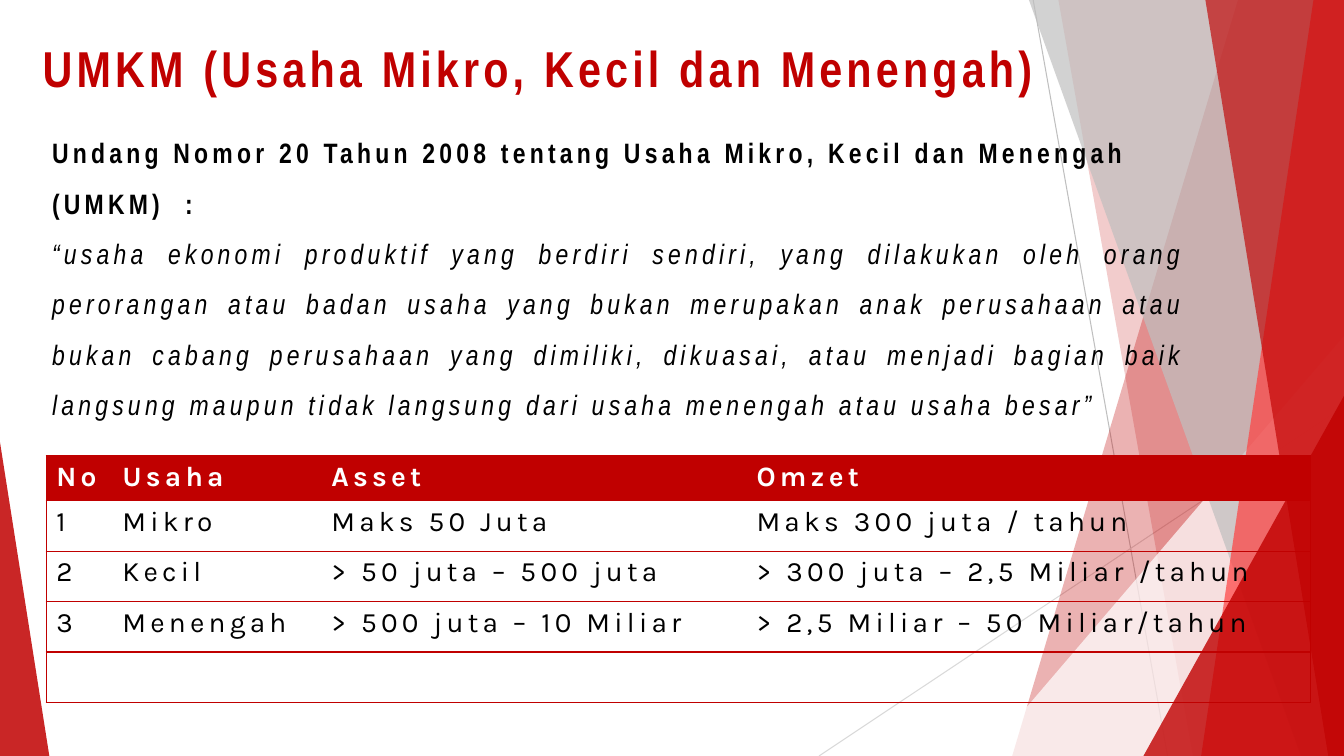
from lxml.etree import SubElement
from pptx import Presentation
from pptx.dml.color import RGBColor
from pptx.enum.shapes import MSO_CONNECTOR, MSO_SHAPE
from pptx.enum.text import MSO_ANCHOR, MSO_AUTO_SIZE, PP_ALIGN
from pptx.oxml import parse_xml
from pptx.oxml.ns import nsdecls, qn
from pptx.util import Pt

PX = 9525
WIDTH, HEIGHT = 1280, 720
RED = RGBColor(0xC0, 0x00, 0x00)
BRIGHT_RED = RGBColor(0xFF, 0x40, 0x40)
WHITE = RGBColor(0xFF, 0xFF, 0xFF)
BLACK = RGBColor(0x00, 0x00, 0x00)
GRAY = RGBColor(0xBF, 0xBF, 0xBF)
LIGHT_GRAY = RGBColor(0xD9, 0xD9, 0xD9)

TITLE_FORMAT = {"name": "Arial Narrow", "size": Pt(36), "bold": True}
LAW_FORMAT = {"name": "Arial Narrow", "size": Pt(20), "bold": True}
QUOTE_FORMAT = {"name": "Arial Narrow", "size": Pt(20), "bold": False, "italic": True}
HEADER_FORMAT = {"name": "Karla", "size": Pt(20), "bold": True}
ROW_FORMAT = {"name": "Karla", "size": Pt(20), "bold": False}
FRAME_FORMAT = {"word_wrap": True, "auto_size": MSO_AUTO_SIZE.NONE,
                "vertical_anchor": MSO_ANCHOR.BOTTOM}

TITLE = "UMKM (Usaha Mikro, Kecil dan Menengah)"
LAW = "Undang Nomor 20 Tahun 2008 tentang Usaha Mikro, Kecil dan Menengah (UMKM)  :"
QUOTE = ("“usaha ekonomi produktif yang berdiri sendiri, yang dilakukan oleh orang "
         "perorangan atau badan usaha yang bukan merupakan anak perusahaan atau bukan "
         "cabang perusahaan yang dimiliki, dikuasai, atau menjadi bagian baik langsung "
         "maupun tidak langsung dari usaha menengah atau usaha besar”")
CRITERIA = [
    ("No", "Usaha", "Asset", "Omzet"),
    ("1", "Mikro", "Maks 50 Juta", "Maks 300 juta / tahun"),
    ("2", "Kecil", "> 50 juta – 500 juta", "> 300 juta – 2,5 Miliar /tahun"),
    ("3", "Menengah", "> 500 juta – 10 Miliar", "> 2,5 Miliar – 50 Miliar/tahun"),
    ("", "", "", ""),
]


def to_emu(lengths):
    """Turn px lengths into EMU."""
    return [length * PX for length in lengths]


def apply_format(target, values):
    """Set every attribute named in a dict of format values."""
    for name, value in values.items():
        setattr(target, name, value)


def add_text(paragraph, text, font_format, color):
    """Add one letter-spaced run to a paragraph."""
    run = paragraph.add_run()
    run.text = text
    apply_format(run.font, font_format)
    run.font.color.rgb = color
    run._r.get_or_add_rPr().set("spc", "300")


def paint(shape, color, opacity):
    """Give a shape a translucent fill without outline or shadow."""
    shape.shadow.inherit = False
    shape.fill.solid()
    shape.fill.fore_color.rgb = color
    shape.line.fill.background()
    color_element = shape.element.spPr.find(".//" + qn("a:srgbClr"))
    SubElement(color_element, qn("a:alpha")).set("val", str(opacity * 1000))


def add_thin_line(slide, ends, color):
    """Draw a thin straight line between two points."""
    line = slide.shapes.add_connector(MSO_CONNECTOR.STRAIGHT, *to_emu(ends))
    line.line.color.rgb = color
    line.line.width = Pt(0.75)
    SubElement(line.element.spPr, qn("a:effectLst"))


def add_band(slide, box, top_x, bottom_x, color, opacity):
    """Draw a slanted band that reaches the right side of its box."""
    left, top, width, height = box
    right, bottom = left + width, top + height
    builder = slide.shapes.build_freeform(left + top_x, top, scale=PX)
    builder.add_line_segments([(right, top), (right, bottom), (left + bottom_x, bottom)])
    paint(builder.convert_to_shape(), color, opacity)


def add_triangle(slide, box, apex, color, opacity):
    """Draw a triangle with its apex at a fraction of its width."""
    triangle = slide.shapes.add_shape(MSO_SHAPE.ISOSCELES_TRIANGLE, *to_emu(box))
    triangle.adjustments[0] = apex
    paint(triangle, color, opacity)


def add_facets(slide, box):
    """Draw the red and gray facets along the sides of the slide."""
    left, top, width, height = box
    right, bottom = left + width, top + height
    add_thin_line(slide, (left + 984, top, left + 1112, bottom), GRAY)
    add_thin_line(slide, (right, top + 387, left + 780, bottom), LIGHT_GRAY)
    add_band(slide, box, 1179, 964, RED, 30)
    add_band(slide, box, 1008, 1136, RED, 20)
    add_triangle(slide, (right - 342, bottom - 400, 342, 400), 1, WHITE, 72)
    add_band(slide, box, 980, 1239, GRAY, 70)
    add_band(slide, box, 1251, 1144, BRIGHT_RED, 70)
    add_band(slide, box, 1148, 1265, RED, 65)
    add_triangle(slide, (right - 191, bottom - 343, 191, 343), 1, RED, 80)
    add_triangle(slide, (left, bottom - 299, 47, 299), 0, RED, 85)


def place_placeholder(placeholder, box):
    """Bring a placeholder to the front, in its box, and return its text frame."""
    placeholder.element.getparent().append(placeholder.element)
    apply_format(placeholder, dict(zip(("left", "top", "width", "height"), to_emu(box))))
    apply_format(placeholder.text_frame, FRAME_FORMAT)
    return placeholder.text_frame


def fill_title(slide, box):
    """Write the slide title."""
    paragraph = place_placeholder(slide.shapes.title, box).paragraphs[0]
    paragraph.alignment = PP_ALIGN.LEFT
    add_text(paragraph, TITLE, TITLE_FORMAT, RED)


def fill_definition(slide, box):
    """Write the law's name and its definition."""
    frame = place_placeholder(slide.placeholders[1], box)
    parts = [(frame.paragraphs[0], LAW, LAW_FORMAT, PP_ALIGN.LEFT),
             (frame.add_paragraph(), QUOTE, QUOTE_FORMAT, PP_ALIGN.JUSTIFY)]
    for paragraph, text, font_format, alignment in parts:
        apply_format(paragraph, {"alignment": alignment, "line_spacing": 1.5,
                                 "space_before": Pt(0)})
        properties = paragraph._p.get_or_add_pPr()
        properties.set("marL", "0")
        properties.set("indent", "0")
        SubElement(properties, qn("a:buNone"))
        add_text(paragraph, text, font_format, BLACK)


def set_borders(cell, visible):
    """Draw the cell's visible sides in red and hide the others."""
    for index, side in enumerate("LRTB"):
        fill = f'<a:solidFill><a:srgbClr val="{RED}"/></a:solidFill>'
        if side not in visible:
            fill = "<a:noFill/>"
        border = parse_xml(f'<a:ln{side} {nsdecls("a")} w="12700">{fill}</a:ln{side}>')
        cell._tc.get_or_add_tcPr().insert(index, border)


def add_criteria_table(slide, box):
    """Add the table of asset and turnover limits."""
    frame = slide.shapes.add_table(len(CRITERIA), len(CRITERIA[0]), *to_emu(box))
    table = frame.table
    apply_format(table, {"first_row": False, "horz_banding": False})
    for column, width in zip(table.columns, to_emu((63, 199, 405, 537))):
        column.width = width
    for row, height in zip(table.rows, to_emu((43, 48, 48, 48, 48))):
        row.height = height
    last_column = len(table.columns) - 1
    for row_index, texts in enumerate(CRITERIA):
        for column_index, text in enumerate(texts):
            cell = table.cell(row_index, column_index)
            if row_index == 0:
                cell.fill.solid()
                cell.fill.fore_color.rgb = RED
                font_format, color = HEADER_FORMAT, WHITE
            else:
                cell.fill.background()
                font_format, color = ROW_FORMAT, BLACK
            if text:
                add_text(cell.text_frame.paragraphs[0], text, font_format, color)
            sides = {0: "TBL", last_column: "TBR"}
            set_borders(cell, sides.get(column_index, "TB"))


def main():
    """Build and save the slide."""
    presentation = Presentation()
    presentation.slide_width, presentation.slide_height = to_emu((WIDTH, HEIGHT))
    slide = presentation.slides.add_slide(presentation.slide_layouts[1])
    add_facets(slide, (0, 0, WIDTH, HEIGHT))
    fill_title(slide, (31, 17, 1116, 81))
    fill_definition(slide, (40, 139, 1098, 267))
    add_criteria_table(slide, (44, 434, 1204, 235))
    presentation.save("out.pptx")


if __name__ == "__main__":
    main()
